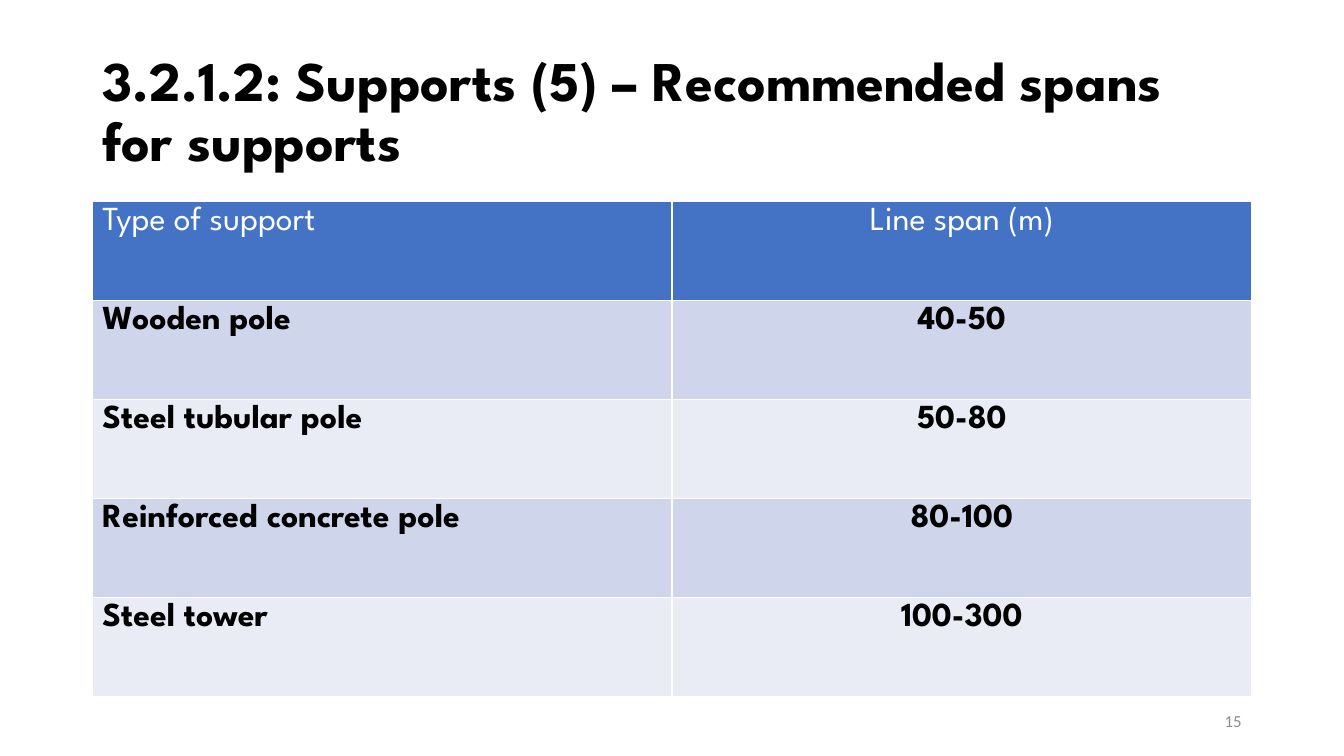
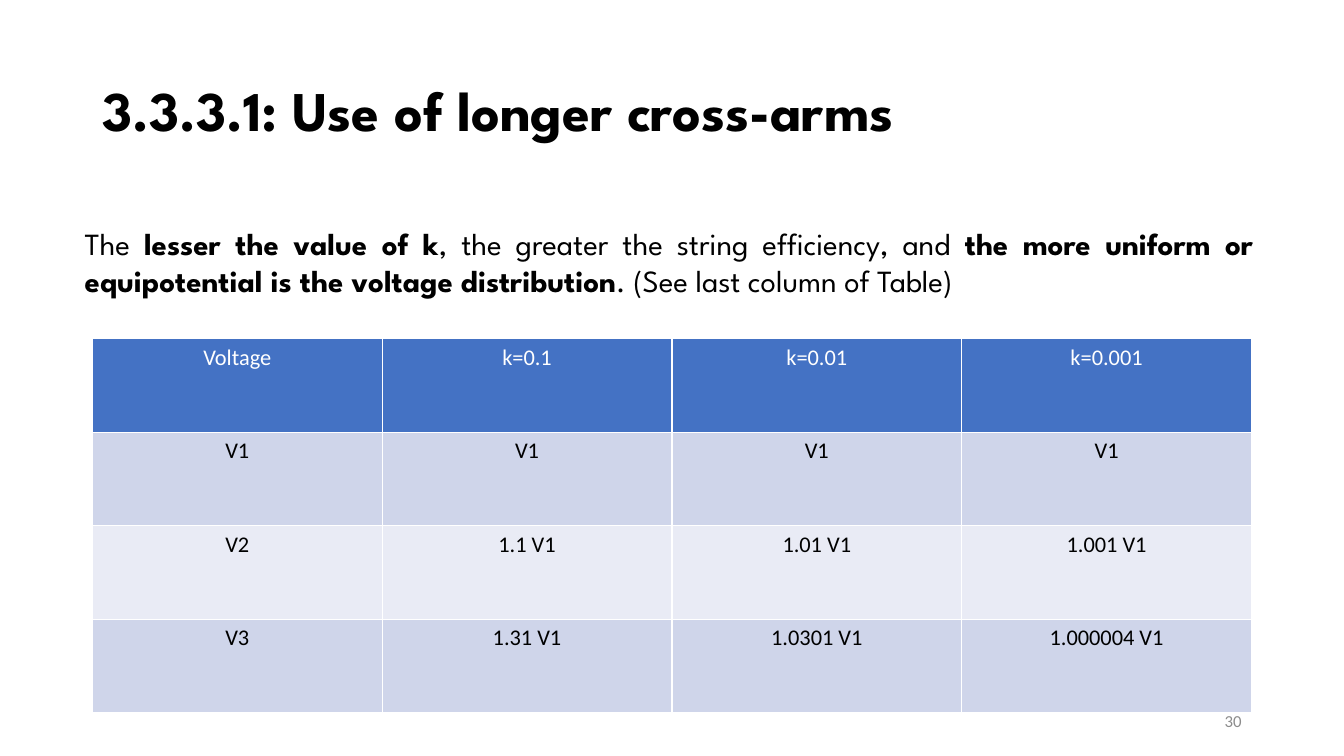
from pptx import Presentation
from pptx.dml.color import RGBColor
from pptx.enum.text import MSO_ANCHOR, PP_ALIGN
from pptx.util import Pt

BLACK = RGBColor(0x00, 0x00, 0x00)
WHITE = RGBColor(0xFF, 0xFF, 0xFF)
GRAY = RGBColor(0x8C, 0x8C, 0x8C)
HEADER_BLUE = RGBColor(0x44, 0x72, 0xC4)
BANDS = (RGBColor(0xCF, 0xD5, 0xEA), RGBColor(0xE9, 0xEB, 0xF5))

HEADING_FONT = "League Spartan"
BODY_FONT = "Calibri"
LEFT, CONTENT_WIDTH = 66, 828

SPANS = [
    ("Type of support", "Line span (m)"),
    ("Wooden pole", "40-50"),
    ("Steel tubular pole", "50-80"),
    ("Reinforced concrete pole", "80-100"),
    ("Steel tower", "100-300"),
]
VOLTAGES = [
    ("Voltage", "k=0.1", "k=0.01", "k=0.001"),
    ("V1", "V1", "V1", "V1"),
    ("V2", "1.1 V1", "1.01 V1", "1.001 V1"),
    ("V3", "1.31 V1", "1.0301 V1", "1.000004 V1"),
]
EFFICIENCY_NOTE = [
    ("The ", False),
    ("lesser the value of k", True),
    (", the greater the string efficiency, and ", False),
    ("the more uniform or equipotential is the voltage distribution", True),
    (". (See last column of Table)", False),
]


def add_run(paragraph, text, size, font_name, color=BLACK, bold=False):
    run = paragraph.add_run()
    run.text = text
    run.font.size = Pt(size)
    run.font.name = font_name
    run.font.color.rgb = color
    run.font.bold = bold


def add_text_box(slide, left, top, width, height, align, anchor=MSO_ANCHOR.MIDDLE):
    """Add a wrapping text box and return its first paragraph."""
    frame = slide.shapes.add_textbox(
        Pt(left), Pt(top), Pt(width), Pt(height)).text_frame
    frame.word_wrap = True
    frame.vertical_anchor = anchor
    paragraph = frame.paragraphs[0]
    paragraph.alignment = align
    return paragraph


def add_titled_slide(deck, title, number):
    slide = deck.slides.add_slide(deck.slide_layouts[6])
    heading = add_text_box(slide, LEFT, 28.75, CONTENT_WIDTH, 104.4, PP_ALIGN.LEFT)
    heading.line_spacing = 0.9
    add_run(heading, title, 40, HEADING_FONT, bold=True)
    footer = add_text_box(slide, 678, 500.5, 216, 28.75, PP_ALIGN.RIGHT)
    add_run(footer, str(number), 12, BODY_FONT, GRAY)
    return slide


def add_banded_table(slide, rows, top, row_height, size, font_name,
                     first_align=PP_ALIGN.CENTER, bold_body=False):
    column_count = len(rows[0])
    table = slide.shapes.add_table(
        len(rows), column_count, Pt(LEFT), Pt(top),
        Pt(CONTENT_WIDTH), Pt(row_height * len(rows))).table
    for column in table.columns:
        column.width = Pt(CONTENT_WIDTH / column_count)
    for row_index, values in enumerate(rows):
        table.rows[row_index].height = Pt(row_height)
        is_header = row_index == 0
        fill = HEADER_BLUE if is_header else BANDS[(row_index - 1) % 2]
        for column_index, value in enumerate(values):
            cell = table.cell(row_index, column_index)
            cell.fill.solid()
            cell.fill.fore_color.rgb = fill
            paragraph = cell.text_frame.paragraphs[0]
            paragraph.alignment = PP_ALIGN.CENTER if column_index else first_align
            add_run(paragraph, value, size, font_name,
                    WHITE if is_header else BLACK,
                    bold_body and not is_header)


def build_spans_slide(deck):
    slide = add_titled_slide(
        deck, "3.2.1.2: Supports (5) – Recommended spans for supports", 15)
    add_banded_table(slide, SPANS, 144, 70.7, 24, HEADING_FONT,
                     first_align=PP_ALIGN.LEFT, bold_body=True)


def build_cross_arms_slide(deck):
    slide = add_titled_slide(deck, "3.3.3.1: Use of longer cross-arms", 30)
    add_banded_table(slide, VOLTAGES, 242, 66.8, 16, BODY_FONT)
    note = add_text_box(slide, 53.3, 157, 849, 60.5,
                        PP_ALIGN.JUSTIFY, MSO_ANCHOR.TOP)
    for text, bold in EFFICIENCY_NOTE:
        add_run(note, text, 22, HEADING_FONT, bold=bold)


def main():
    deck = Presentation()
    deck.slide_width, deck.slide_height = Pt(960), Pt(540)
    build_spans_slide(deck)
    build_cross_arms_slide(deck)
    deck.save("out.pptx")


if __name__ == "__main__":
    main()
